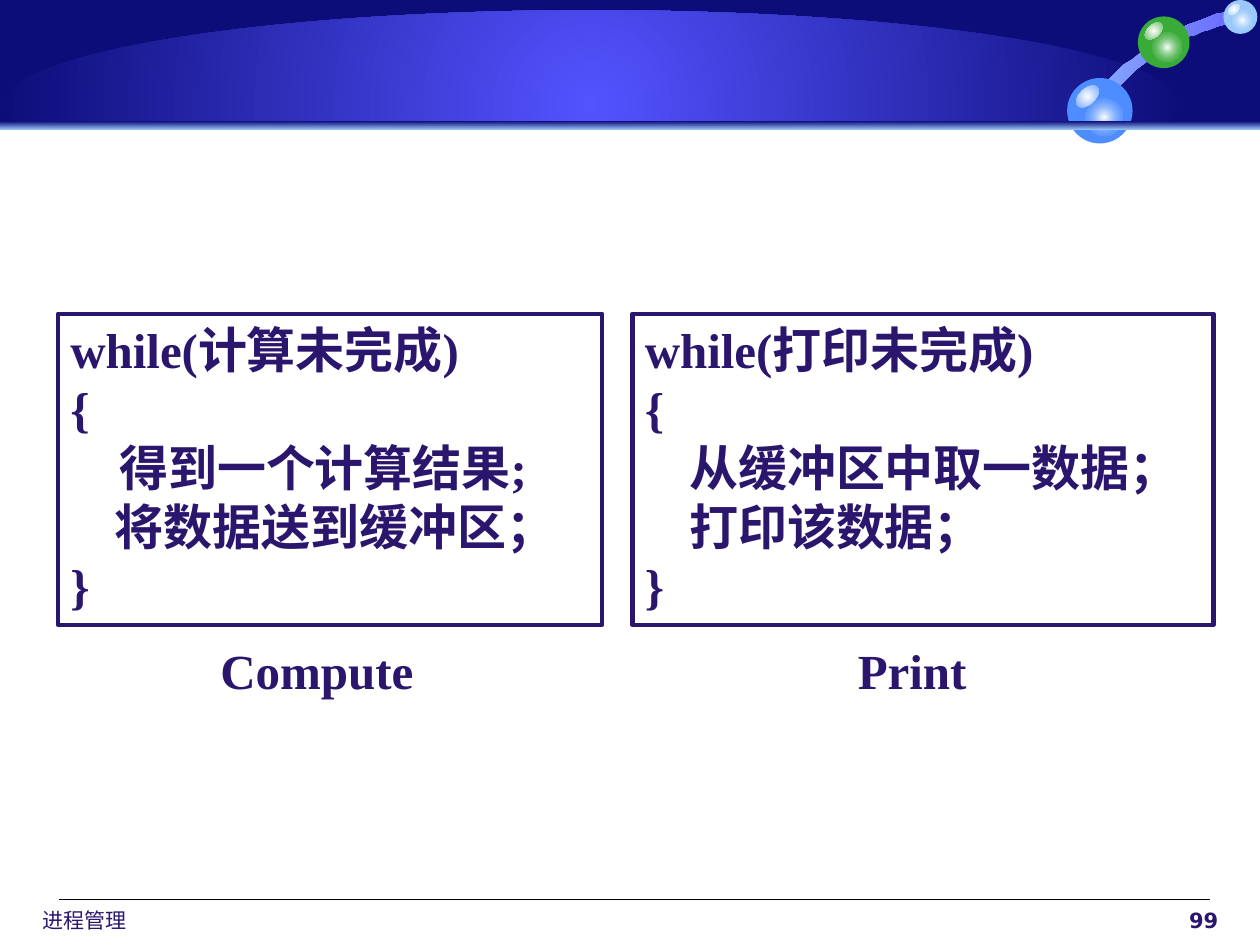
from lxml import etree
from pptx import Presentation
from pptx.dml.color import RGBColor
from pptx.enum import shapes, text
from pptx.oxml import ns
from pptx.util import Pt

NAVY, BLUE, SKY, INK = "0D0D79", "5353FF", "9AC8FA", "2B166E"
RECT, OVAL = shapes.MSO_SHAPE.RECTANGLE, shapes.MSO_SHAPE.OVAL

prs = Presentation()
prs.slide_width, prs.slide_height = Pt(720), Pt(540)
slide = prs.slides.add_slide(prs.slide_layouts[6])


def paint(shape, color, end=None, angle=None, end_alpha=100):
    """Fill with one colour, or a gradient to end: linear at angle, else radial."""
    shape.shadow.inherit = False
    shape.line.fill.background()
    if end is None:
        shape.fill.solid()
        shape.fill.fore_color.rgb = RGBColor.from_string(color)
        return
    shape.fill.gradient()
    grad = shape._element.spPr.find(ns.qn("a:gradFill"))
    for child in list(grad):
        grad.remove(child)
    stops = etree.SubElement(grad, ns.qn("a:gsLst"))
    for position, value, alpha in ((0, color, 100), (100, end, end_alpha)):
        stop = etree.SubElement(stops, ns.qn("a:gs"), pos=str(position * 1000))
        tint = etree.SubElement(stop, ns.qn("a:srgbClr"), val=value)
        if alpha < 100:
            etree.SubElement(tint, ns.qn("a:alpha"), val=str(alpha * 1000))
    if angle is None:
        radial = etree.SubElement(grad, ns.qn("a:path"), path="circle")
        etree.SubElement(radial, ns.qn("a:fillToRect"),
                         l="50000", t="50000", r="50000", b="50000")
    else:
        etree.SubElement(grad, ns.qn("a:lin"), ang=str(angle * 60000), scaled="0")


def write(shape, lines, size, font, bold, align=text.PP_ALIGN.LEFT):
    frame = shape.text_frame
    frame.word_wrap = True
    frame.vertical_anchor = text.MSO_ANCHOR.TOP
    frame.text = lines
    for paragraph in frame.paragraphs:
        paragraph.alignment = align
        paragraph.font.size = Pt(size)
        paragraph.font.name = font
        paragraph.font.bold = bold
        paragraph.font.color.rgb = RGBColor.from_string(INK)


# Header band with its glow, cut off below by the white page
band = slide.shapes.add_shape(RECT, 0, 0, Pt(720), Pt(72))
paint(band, NAVY)
glow = slide.shapes.add_shape(OVAL, Pt(2.2), Pt(5.8), Pt(671.8), Pt(107.3))
paint(glow, BLUE, NAVY)
page = slide.shapes.add_shape(RECT, 0, Pt(71.3), Pt(720), Pt(421.9))
paint(page, "FFFFFF")

# Curved ribbon joining the balls, its Bezier curves sampled as short segments
upper = [(699.8, 14.4), (689, 16.6), (676.8, 21.6), (665.3, 28.1),
         (653.8, 35.3), (643.7, 43.9), (637.2, 52.6)]
lower = [(626.4, 53.3), (635, 42.5), (647.3, 31.7), (662.4, 23),
         (676.8, 13.7), (692.6, 7.9), (705.6, 5.8)]
outline = []
for curve in (upper, lower):
    for start in (0, 3):
        a, b, c, d = curve[start:start + 4]
        for step in range(9):
            t = step / 8
            outline.append(tuple(
                (1 - t) ** 3 * a[i] + 3 * (1 - t) ** 2 * t * b[i]
                + 3 * (1 - t) * t ** 2 * c[i] + t ** 3 * d[i] for i in (0, 1)))
builder = slide.shapes.build_freeform(*outline[0], scale=Pt(1))
builder.add_line_segments(outline[1:], close=True)
paint(builder.convert_to_shape(), "86A8FF", "6B6BFF", angle=0)

# Glossy balls: body, soft core, tilted highlight
for left, top, size, color in ((650.2, 9.4, 29.5, "39AB39"),
                               (609.8, 44.6, 37.4, "4D8DFF"),
                               (699.1, 0, 19.4, SKY)):
    body = slide.shapes.add_shape(OVAL, Pt(left), Pt(top), Pt(size), Pt(size))
    paint(body, color)
    core = slide.shapes.add_shape(OVAL, Pt(left + 0.28 * size), Pt(top + 0.32 * size),
                                  Pt(0.56 * size), Pt(0.56 * size))
    paint(core, "FFFFFF", color, end_alpha=0)
    highlight = slide.shapes.add_shape(OVAL, Pt(left + 0.1 * size), Pt(top + 0.16 * size),
                                       Pt(0.42 * size), Pt(0.24 * size))
    highlight.rotation = 317.2
    paint(highlight, "FFFFFF", color)

edge = slide.shapes.add_shape(RECT, 0, Pt(69.3), Pt(720), Pt(5))
paint(edge, NAVY, SKY, angle=90)

# Footer
rule = slide.shapes.add_connector(shapes.MSO_CONNECTOR.STRAIGHT,
                                  Pt(33.8), Pt(514), Pt(691.2), Pt(514))
rule.line.color.rgb = RGBColor.from_string("000000")
rule.line.width = Pt(0.75)
etree.SubElement(rule._element.spPr, ns.qn("a:effectLst"))
chapter = slide.shapes.add_textbox(Pt(17.3), Pt(514.8), Pt(190), Pt(24))
write(chapter, "进程管理", 12, "DejaVu Sans", False)
number = slide.shapes.add_textbox(Pt(475.2), Pt(514.8), Pt(228), Pt(24))
write(number, "99", 12, "DejaVu Sans", True, text.PP_ALIGN.RIGHT)

# The two processes: code box with its name below (\v breaks a line in a paragraph)
compute = "while(计算未完成)\n{\v    得到一个计算结果;\n    将数据送到缓冲区；\n}"
printing = "while(打印未完成)\n{\n    从缓冲区中取一数据；\v    打印该数据；\n}"
for code, left, width, name, name_left, name_width in (
        (compute, 33.1, 311, "Compute", 118.8, 154.8),
        (printing, 361.4, 332, "Print", 483.1, 98.6)):
    box = slide.shapes.add_shape(RECT, Pt(left), Pt(179.3), Pt(width), Pt(177.8))
    box.shadow.inherit = False
    box.fill.background()
    box.line.color.rgb = RGBColor.from_string(INK)
    box.line.width = Pt(2.5)
    write(box, code, 28, "Times New Roman", True)
    label = slide.shapes.add_textbox(Pt(name_left), Pt(362.2), Pt(name_width), Pt(41))
    write(label, name, 28, "Times New Roman", True)

prs.save("out.pptx")
